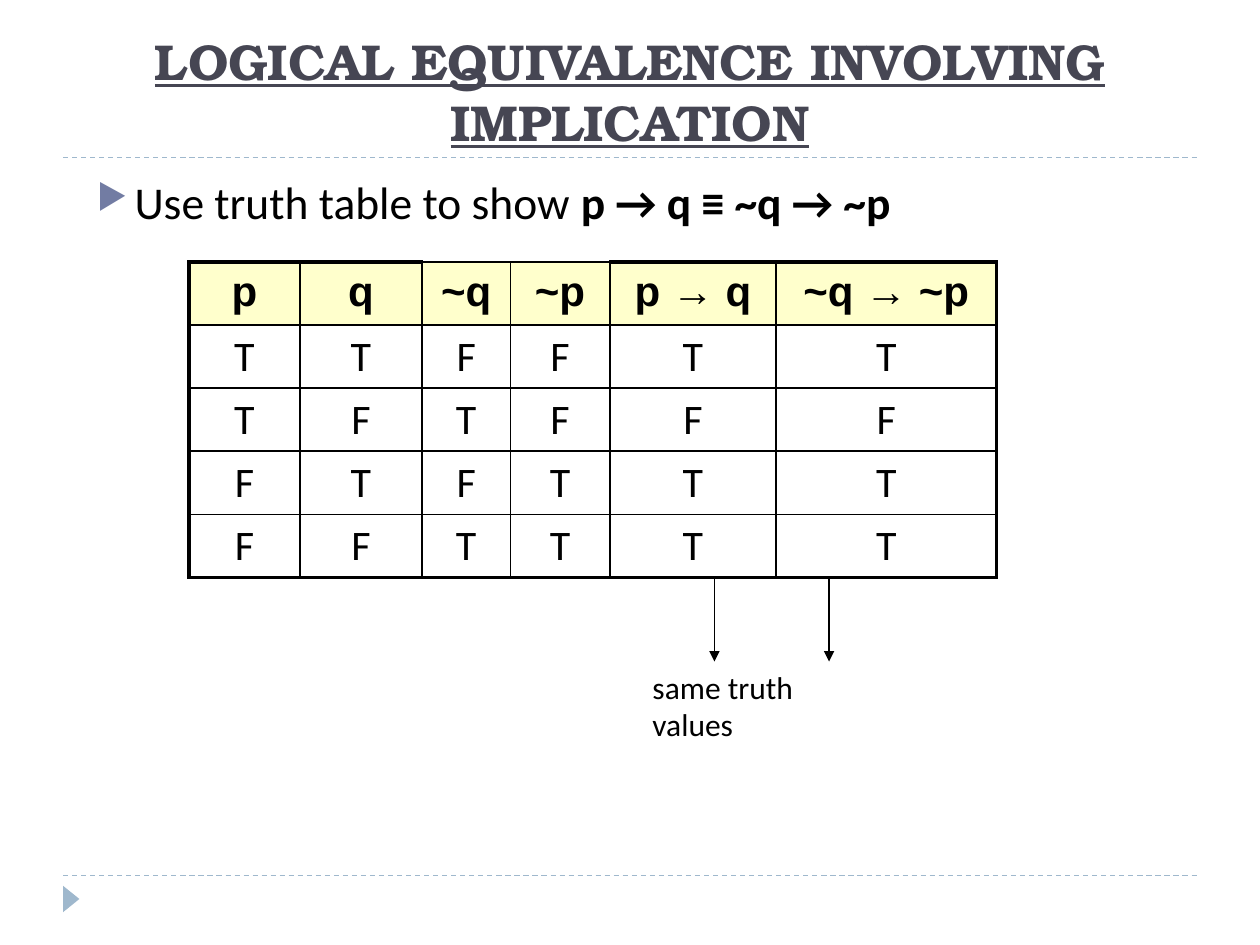
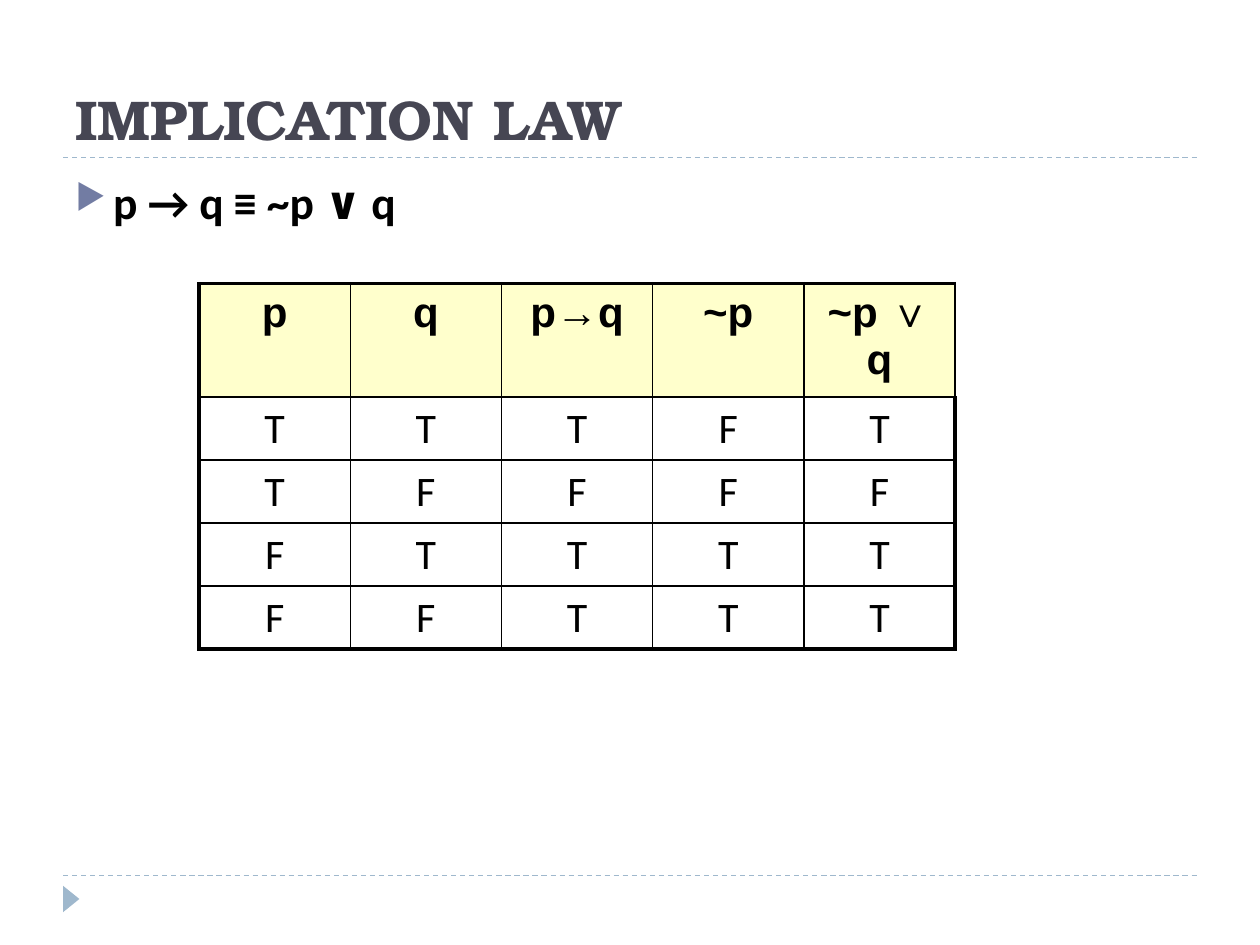
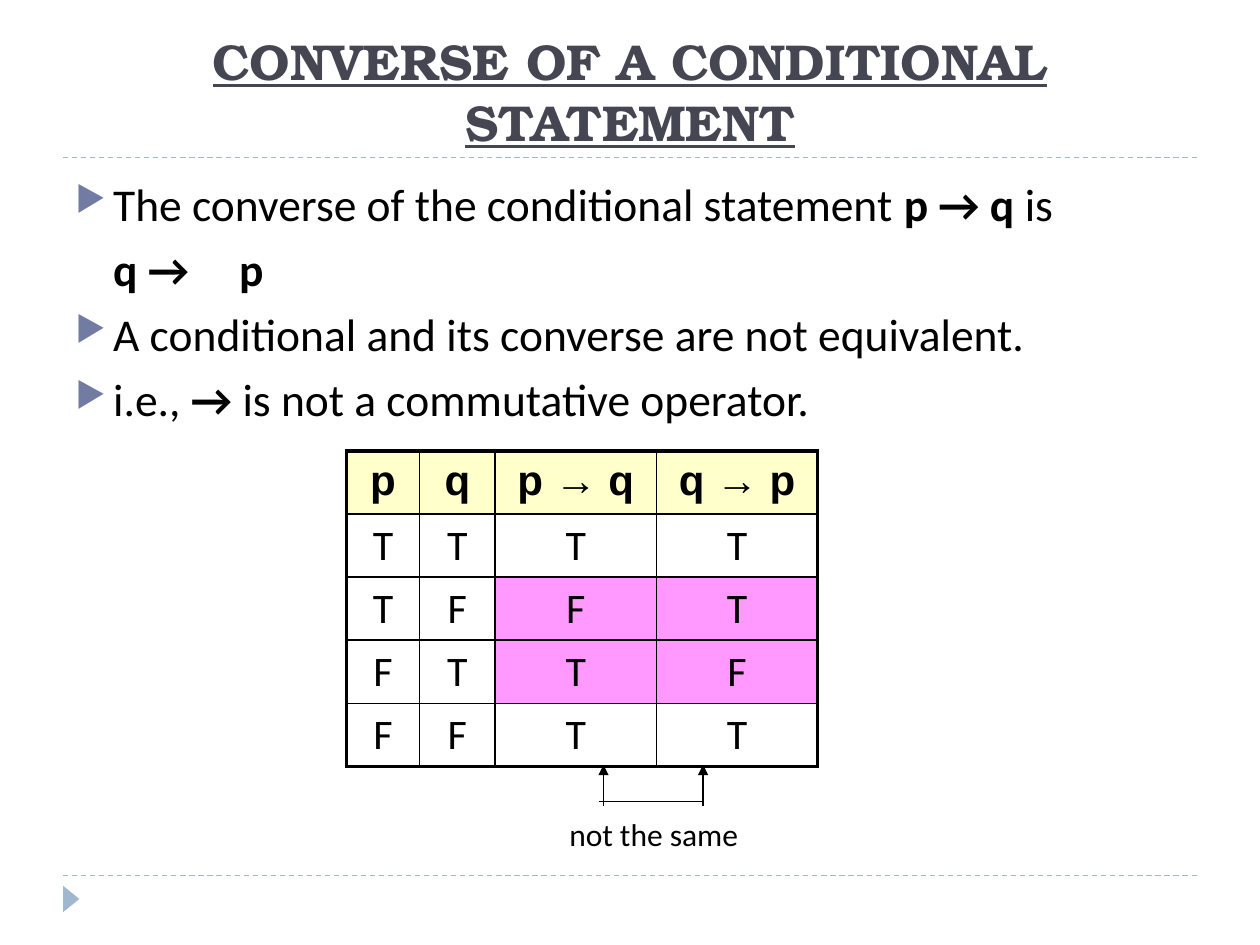
"""Builds three slides on implication, its equivalences and its converse."""
import lxml.etree
import pptx
import pptx.dml.color
import pptx.enum.dml
import pptx.enum.shapes
import pptx.enum.text
import pptx.oxml.ns
import pptx.util

Inches = pptx.util.Inches
Pt = pptx.util.Pt
RGBColor = pptx.dml.color.RGBColor
PP_ALIGN = pptx.enum.text.PP_ALIGN
MSO_ANCHOR = pptx.enum.text.MSO_ANCHOR
qn = pptx.oxml.ns.qn

BLACK = RGBColor(0, 0, 0)
TITLE_GREY = RGBColor(0x46, 0x46, 0x53)
RULE_BLUE = RGBColor(0x9F, 0xB8, 0xCD)
BULLET_BLUE = RGBColor(0x72, 0x7C, 0xA3)
HEADER_YELLOW = RGBColor(0xFF, 0xFF, 0xCC)
MISMATCH_PINK = RGBColor(0xFF, 0x99, 0xFF)

TITLE_FORMAT = {"name": "TeX Gyre Bonum", "size": Pt(32), "bold": True}
LONG_TITLE_FORMAT = {**TITLE_FORMAT, "size": Pt(28.8), "underline": True}
BODY_FORMAT = {"name": "Calibri", "size": Pt(26)}
CAPTION_FORMAT = {"name": "Calibri", "size": Pt(18)}
HEADER_FORMAT = {"name": "Arial", "size": Pt(24), "bold": True}
VALUE_FORMAT = {"name": "Calibri", "size": Pt(24), "bold": False}

HEADER_HEIGHT = 0.48
VALUE_HEIGHT = 0.5
INDENT = Inches(0.3)
THICK, THIN = Pt(2.25), Pt(1)


def add_run(paragraph, text, formats, color=BLACK):
    """Add a run whose font takes each of the given values."""
    run = paragraph.add_run()
    run.text = text
    for name, value in formats.items():
        setattr(run.font, name, value)
    run.font.color.rgb = color


def add_text_frame(slide, left, top, width, height):
    """Add a wrapping text box and return its frame."""
    box = slide.shapes.add_textbox(Inches(left), Inches(top), Inches(width), Inches(height))
    box.text_frame.word_wrap = True
    return box.text_frame


def add_line(slide, start, end, color=BLACK, dashed=False, arrow=False):
    """Add a thin straight line, dashed or with an arrowhead at its end."""
    points = [Inches(value) for value in (*start, *end)]
    line = slide.shapes.add_connector(pptx.enum.shapes.MSO_CONNECTOR.STRAIGHT, *points)
    line.line.width = Pt(0.75)
    line.line.color.rgb = color
    if dashed:
        line.line.dash_style = pptx.enum.dml.MSO_LINE.DASH
    if arrow:
        outline = line.line._get_or_add_ln()
        lxml.etree.SubElement(outline, qn("a:tailEnd"), type="triangle")
    lxml.etree.SubElement(line._element.spPr, qn("a:effectLst"))


def add_slide(presentation, title, centered=False):
    """Add a slide with the shared rules, corner marker and title."""
    slide = presentation.slides.add_slide(presentation.slide_layouts[6])
    for height in (6.95, 1.25):
        add_line(slide, (0.5, height), (9.5, height), RULE_BLUE, dashed=True)
    marker = slide.shapes.add_shape(
        pptx.enum.shapes.MSO_SHAPE.ISOSCELES_TRIANGLE,
        Inches(0.46), Inches(7.07), Inches(0.21), Inches(0.13))
    marker.rotation = 90
    marker.shadow.inherit = False
    marker.fill.solid()
    marker.fill.fore_color.rgb = RULE_BLUE
    marker.line.fill.background()

    frame = add_text_frame(slide, 0.5, 0.17, 9, 1.08)
    frame.vertical_anchor = MSO_ANCHOR.BOTTOM
    paragraph = frame.paragraphs[0]
    paragraph.alignment = PP_ALIGN.CENTER if centered else PP_ALIGN.LEFT
    add_run(paragraph, title, LONG_TITLE_FORMAT if centered else TITLE_FORMAT, TITLE_GREY)
    return slide


def set_bullet(paragraph, bulleted):
    """Indent a paragraph and hang a triangle bullet when asked."""
    properties = paragraph._p.get_or_add_pPr()
    properties.set("marL", str(INDENT))
    properties.set("indent", str(-INDENT if bulleted else 0))
    if not bulleted:
        lxml.etree.SubElement(properties, qn("a:buNone"))
        return
    color = lxml.etree.SubElement(properties, qn("a:buClr"))
    lxml.etree.SubElement(color, qn("a:srgbClr"), val=str(BULLET_BLUE))
    lxml.etree.SubElement(properties, qn("a:buSzPct"), val="76000")
    lxml.etree.SubElement(properties, qn("a:buChar"), char="▶")


def add_body(slide, left, top, items):
    """Add body paragraphs given as (bulleted, [(text, bold), ...])."""
    frame = add_text_frame(slide, left, top, 9, 5.4)
    for index, (bulleted, runs) in enumerate(items):
        paragraph = frame.add_paragraph() if index else frame.paragraphs[0]
        set_bullet(paragraph, bulleted)
        paragraph.space_before = Pt(6 if index else 0)
        for text, bold in runs:
            add_run(paragraph, text, {**BODY_FORMAT, "bold": bold})


def add_caption(slide, left, top, width, text):
    """Add a small caption below a table."""
    frame = add_text_frame(slide, left, top, width, 0.4)
    add_run(frame.paragraphs[0], text, CAPTION_FORMAT)


def set_borders(cell, widths):
    """Draw the left, right, top and bottom cell borders."""
    properties = cell._tc.get_or_add_tcPr()
    for index, (side, width) in enumerate(widths.items()):
        border = lxml.etree.Element(qn(f"a:ln{side}"), w=str(width))
        fill = lxml.etree.SubElement(border, qn("a:solidFill"))
        lxml.etree.SubElement(fill, qn("a:srgbClr"), val=str(BLACK))
        properties.insert(index, border)


def add_truth_table(slide, left, top, widths, headers, rows,
                    thin_tops=(), thin_corner=False, mismatches=()):
    """Add a truth table with a yellow header and a thick outer frame."""
    height = HEADER_HEIGHT + VALUE_HEIGHT * len(rows)
    table = slide.shapes.add_table(
        len(rows) + 1, len(headers), Inches(left), Inches(top),
        Inches(sum(widths)), Inches(height)).table
    table.first_row = table.horz_banding = False
    for column, width in zip(table.columns, widths):
        column.width = Inches(width)
    last_row, last_column = len(rows), len(headers) - 1
    for r, values in enumerate([headers, *rows]):
        table.rows[r].height = Inches(VALUE_HEIGHT if r else HEADER_HEIGHT)
        for c, value in enumerate(values):
            cell = table.cell(r, c)
            paragraph = cell.text_frame.paragraphs[0]
            paragraph.alignment = PP_ALIGN.CENTER
            paragraph.space_after = Pt(10)
            add_run(paragraph, value, VALUE_FORMAT if r else HEADER_FORMAT)
            if r == 0 or (r, c) in mismatches:
                cell.fill.solid()
                cell.fill.fore_color.rgb = MISMATCH_PINK if r else HEADER_YELLOW
            else:
                cell.fill.background()
            thick_right = c == last_column and not (thin_corner and r == 0)
            set_borders(cell, {
                "L": THIN if c else THICK,
                "R": THICK if thick_right else THIN,
                "T": THIN if r or c in thin_tops else THICK,
                "B": THICK if r == last_row else THIN})


def add_equivalence_slide(presentation):
    """Show that an implication equals its contrapositive."""
    slide = add_slide(presentation, "LOGICAL EQUIVALENCE INVOLVING IMPLICATION", centered=True)
    add_body(slide, 0.67, 1.33, [
        (True, [("Use truth table to show ", False), ("p → q ≡ ~q → ~p", True)])])
    add_truth_table(
        slide, 1.5, 2.08, [0.88, 0.97, 0.7, 0.79, 1.32, 1.75],
        ["p", "q", "~q", "~p", "p → q", "~q → ~p"],
        ["TTFFTT", "TFTFFF", "FTFTTT", "FFTTTT"], thin_tops=(2, 3))
    for x in (5.67, 6.58):
        add_line(slide, (x, 4.58), (x, 5.25), arrow=True)
    add_caption(slide, 5.08, 5.25, 1.95, "same truth values")


def add_law_slide(presentation):
    """Show the implication law."""
    slide = add_slide(presentation, "IMPLICATION LAW")
    add_body(slide, 0.5, 1.33, [(True, [("p → q ≡ ~p ∨ q", True)])])
    add_truth_table(
        slide, 1.58, 2.25, [1.2] * 5, ["p", "q", "p→q", "~p", "~p ∨ q"],
        ["TTTFT", "TFFFF", "FTTTT", "FFTTT"], thin_corner=True)


def add_converse_slide(presentation):
    """Show that a conditional differs from its converse."""
    slide = add_slide(presentation, "CONVERSE OF A CONDITIONAL STATEMENT", centered=True)
    add_body(slide, 0.5, 1.35, [
        (True, [("The converse of the conditional statement ", False),
                ("p → q", True), (" is", False)]),
        (False, [("q →\tp", True)]),
        (True, [("A conditional and its converse are not equivalent.", False)]),
        (True, [("i.e., ", False), ("→ ", True), ("is not a commutative operator.", False)])])
    add_truth_table(
        slide, 2.75, 3.58, [0.58, 0.6, 1.28, 1.28], ["p", "q", "p → q", "q → p"],
        ["TTTT", "TFFT", "FTTF", "FFTT"],
        mismatches=[(r, c) for r in (2, 3) for c in (2, 3)])
    for x in (4.79, 5.58):
        add_line(slide, (x, 6.4), (x, 6.07), arrow=True)
    add_line(slide, (4.75, 6.36), (5.58, 6.36))
    add_caption(slide, 4.42, 6.42, 1.6, "not the same")


def main():
    """Build and save the presentation."""
    presentation = pptx.Presentation()
    presentation.slide_width = Inches(10)
    presentation.slide_height = Inches(7.5)
    add_equivalence_slide(presentation)
    add_law_slide(presentation)
    add_converse_slide(presentation)
    presentation.save("out.pptx")


if __name__ == "__main__":
    main()
